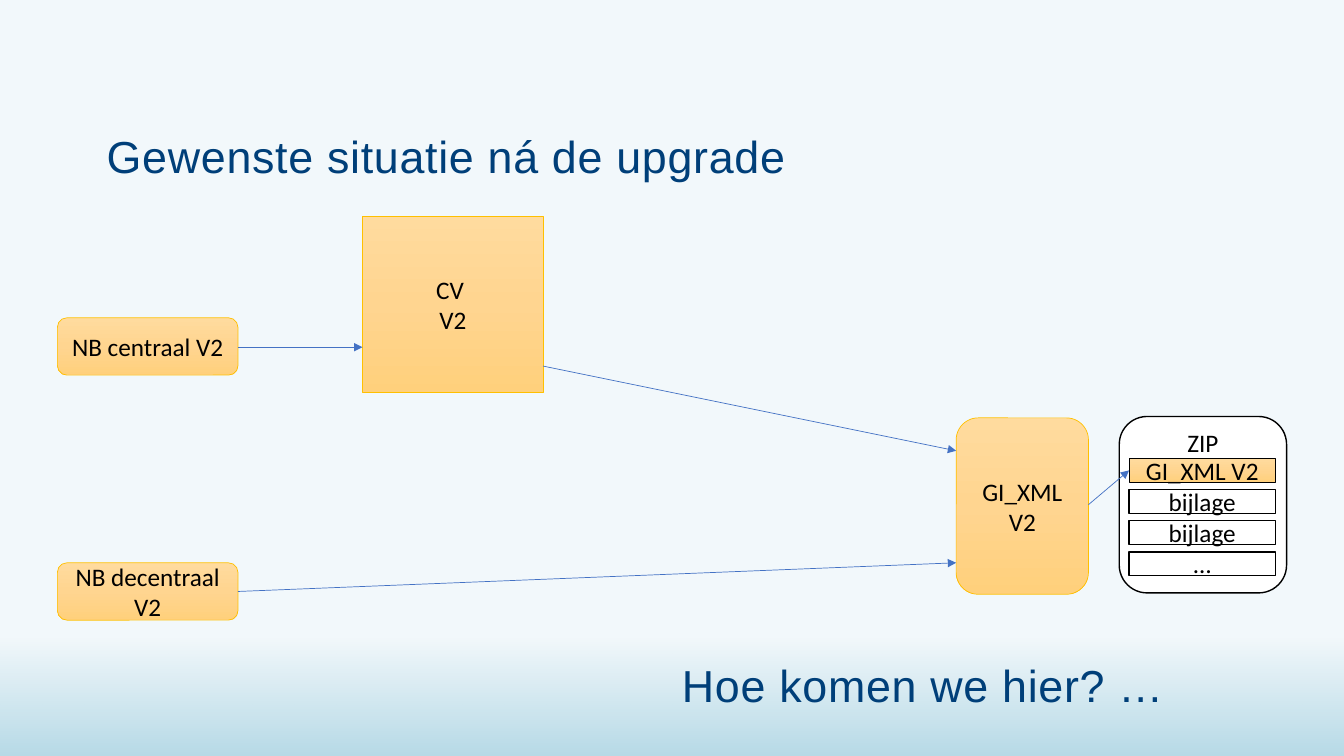
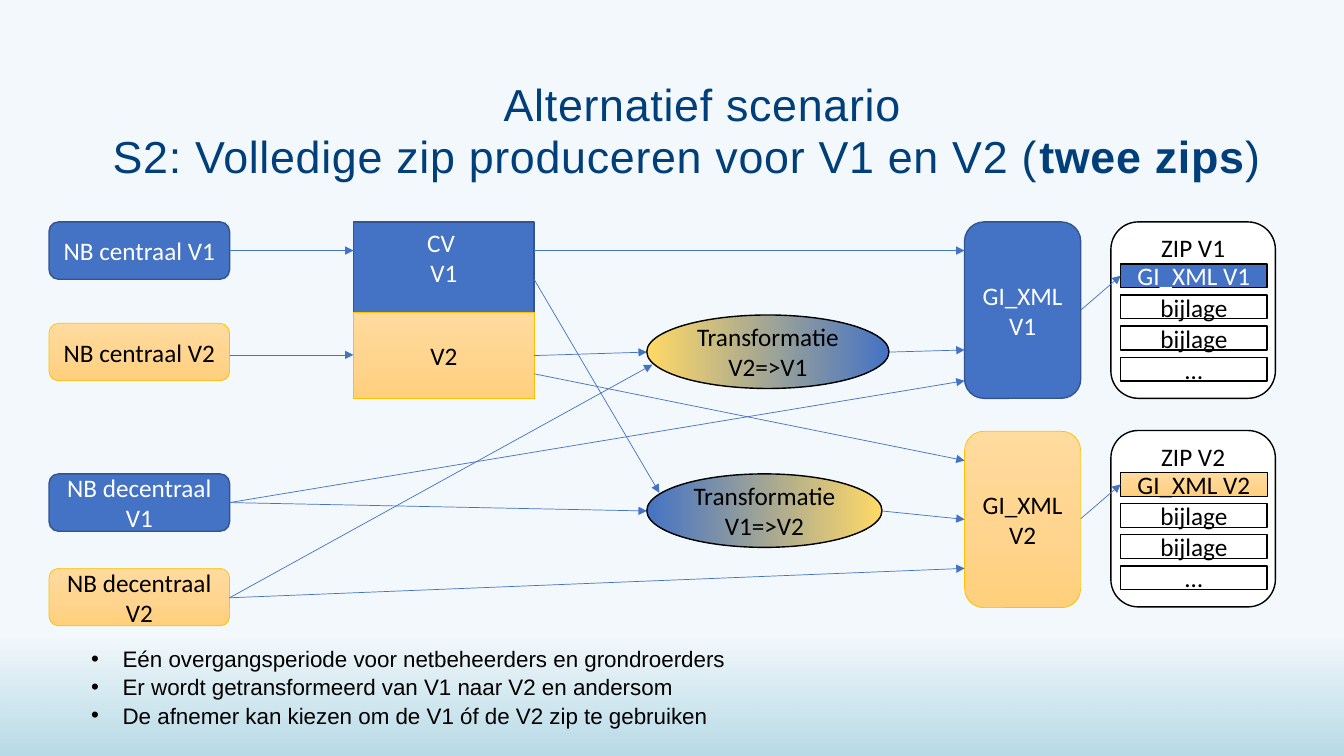
"""Build two slides on the V1 to V2 upgrade scenario."""

from dataclasses import dataclass

from lxml.etree import SubElement
from pptx import Presentation
from pptx.dml.color import RGBColor
from pptx.enum.shapes import MSO_CONNECTOR as Connector, MSO_SHAPE as Preset
from pptx.enum.text import MSO_ANCHOR as Anchor, MSO_AUTO_SIZE as AutoSize, PP_ALIGN as Align
from pptx.oxml.ns import qn
from pptx.util import Pt

PAGE_WIDTH, PAGE_HEIGHT = 960, 540
BACKGROUND, BAND = "F2F8FB", "007EA9"
TITLE_COLOUR, BLACK, WHITE = "003F79", "000000", "FFFFFF"
BLUE, YELLOW = "4472C4", "FFD966"
AMBER = ("FFDB9E", "FFD590", "FFD07C")
TITLE_FONT, BOX_FONT = "Arial", "Calibri"
NODE_WIDTH, NODE_HEIGHT, TALL_HEIGHT = 129, 41, 126
ENTRY_INSET, ENTRY_TOP, ENTRY_PITCH = 7, 30, 22.25
ENTRY_WIDTH, ENTRY_HEIGHT = 104.5, 17


@dataclass(frozen=True)
class Style:
    """Fill colours, outline and text colour of a box."""

    fills: tuple[str, ...]
    line: str
    weight: float
    text: str = BLACK
    angle: int = 270


@dataclass(frozen=True)
class Box:
    """A labelled shape in the diagram."""

    label: str
    left: float
    top: float
    width: float
    height: float
    style: Style
    preset: Preset = Preset.ROUNDED_RECTANGLE
    anchor: Anchor = Anchor.MIDDLE
    margin_top: float = 3.6


@dataclass(frozen=True)
class Arrow:
    """A straight arrow between two points."""

    x1: float
    y1: float
    x2: float
    y2: float


@dataclass(frozen=True)
class Zip:
    """A zip file with its entries."""

    label: str
    left: float
    top: float
    width: float
    first_entry: str
    first_style: Style


V1 = Style((BLUE,), "325491", 1, WHITE)
V2 = Style(AMBER, "FFC000", 0.5)
PLAIN = Style((WHITE,), BLACK, 1)
V1_ENTRY = Style((BLUE,), BLACK, 1, WHITE)
V2_ENTRY = Style(AMBER, BLACK, 0.5)
TO_V1 = Style((YELLOW, BLUE), BLACK, 1, angle=0)
TO_V2 = Style((BLUE, YELLOW), BLACK, 1, angle=0)


def colour(value: str) -> RGBColor:
    """Turn a hex string into a colour."""
    return RGBColor.from_string(value)


def paint(shape, fills: tuple[str, ...], angle: int, alphas: tuple[int, ...] = ()) -> None:
    """Fill a shape with one colour or an even gradient."""
    if len(fills) == 1:
        shape.fill.solid()
        shape.fill.fore_color.rgb = colour(fills[0])
        return
    shape.fill.gradient()
    shape.fill.gradient_angle = angle
    stops = shape.element.spPr.find(qn("a:gradFill")).find(qn("a:gsLst"))
    for stop in list(stops):
        stops.remove(stop)
    for index, value in enumerate(fills):
        position = str(100000 * index // (len(fills) - 1))
        stop = SubElement(stops, qn("a:gs"), pos=position)
        tone = SubElement(stop, qn("a:srgbClr"), val=value)
        if alphas:
            SubElement(tone, qn("a:alpha"), val=str(alphas[index] * 1000))


def place(shape, left: float, top: float, width: float, height: float) -> None:
    """Move and size a shape."""
    shape.left, shape.top = Pt(left), Pt(top)
    shape.width, shape.height = Pt(width), Pt(height)


def format_heading(shape, text: str, align: Align, bold: str = "") -> None:
    """Write a heading, with one part of it in bold if given."""
    frame = shape.text_frame
    frame.word_wrap = True
    frame.auto_size = AutoSize.NONE
    frame.vertical_anchor = Anchor.TOP
    para = frame.paragraphs[0]
    para.alignment = align
    para.line_spacing = 0.95
    before, found, after = text.partition(bold) if bold else (text, "", "")
    for part in filter(None, (before, found, after)):
        span = para.add_run()
        span.text = part
        span.font.name = TITLE_FONT
        span.font.size = Pt(32)
        span.font.bold = part == bold
        span.font.color.rgb = colour(TITLE_COLOUR)
        span.font._element.set("spc", "50")


def add_page(deck, title: str, width: float, align: Align, bold: str = ""):
    """Add a page with its bottom band and title."""
    page = deck.slides.add_slide(deck.slide_layouts[5])
    band = page.shapes.add_shape(Preset.RECTANGLE, 0, Pt(455), Pt(PAGE_WIDTH), Pt(85))
    band.shadow.inherit = False
    band.line.fill.background()
    paint(band, (BAND, BAND), 270, (0, 25))
    place(page.shapes.title, 69, 91, width, 34)
    format_heading(page.shapes.title, title, align, bold)
    return page


def add_heading(page, text: str, left: float, top: float, width: float, align: Align) -> None:
    """Add a free heading in the title style."""
    box = page.shapes.add_textbox(Pt(left), Pt(top), Pt(width), Pt(34))
    format_heading(box, text, align)


def add_box(page, box: Box) -> None:
    """Draw a labelled box."""
    shape = page.shapes.add_shape(
        box.preset, Pt(box.left), Pt(box.top), Pt(box.width), Pt(box.height)
    )
    shape.shadow.inherit = False
    paint(shape, box.style.fills, box.style.angle)
    shape.line.color.rgb = colour(box.style.line)
    shape.line.width = Pt(box.style.weight)
    frame = shape.text_frame
    frame.text = box.label
    frame.word_wrap = True
    frame.vertical_anchor = box.anchor
    frame.margin_top = Pt(box.margin_top)
    for para in frame.paragraphs:
        para.alignment = Align.CENTER
        for span in para.runs:
            span.font.name = BOX_FONT
            span.font.size = Pt(18)
            span.font.color.rgb = colour(box.style.text)


def add_arrow(page, arrow: Arrow) -> None:
    """Draw a thin blue arrow."""
    line = page.shapes.add_connector(
        Connector.STRAIGHT, Pt(arrow.x1), Pt(arrow.y1), Pt(arrow.x2), Pt(arrow.y2)
    )
    line.line.color.rgb = colour(BLUE)
    line.line.width = Pt(0.5)
    properties = line.element.spPr
    SubElement(properties.find(qn("a:ln")), qn("a:tailEnd"), type="triangle")
    SubElement(properties, qn("a:effectLst"))


def add_zip(page, archive: Zip, source_right: float) -> None:
    """Draw a zip file, its entries and the arrow into the first entry."""
    add_box(page, Box(archive.label, archive.left, archive.top, archive.width, TALL_HEIGHT,
                      PLAIN, anchor=Anchor.TOP, margin_top=2))
    left, top = archive.left + ENTRY_INSET, archive.top + ENTRY_TOP
    for index, label in enumerate((archive.first_entry, "bijlage", "bijlage", "…")):
        style = PLAIN if index else archive.first_style
        add_box(page, Box(label, left, top + index * ENTRY_PITCH, ENTRY_WIDTH, ENTRY_HEIGHT,
                          style, Preset.RECTANGLE))
    add_arrow(page, Arrow(source_right, archive.top + TALL_HEIGHT / 2,
                          left, top + ENTRY_HEIGHT / 2))


def add_bullets(page, lines: tuple[str, ...]) -> None:
    """Add the bulleted remarks at the bottom."""
    box = page.shapes.add_textbox(Pt(58), Pt(456.5), Pt(483), Pt(65.5))
    frame = box.text_frame
    frame.text = "\n".join(lines)
    frame.word_wrap = True
    for para in frame.paragraphs:
        properties = para._p.get_or_add_pPr()
        properties.set("marL", str(Pt(22.5)))
        properties.set("indent", str(-Pt(22.5)))
        para.line_spacing = 1.05
        SubElement(properties, qn("a:buFont"), typeface=TITLE_FONT)
        SubElement(properties, qn("a:buChar"), char="•")
        for span in para.runs:
            span.font.name = TITLE_FONT
            span.font.size = Pt(16)
            span.font.color.rgb = colour(BLACK)


def add_diagram(page, boxes: tuple[Box, ...], arrows: tuple[Arrow, ...]) -> None:
    """Draw all boxes and then all arrows."""
    for box in boxes:
        add_box(page, box)
    for arrow in arrows:
        add_arrow(page, arrow)


def node(label: str, left: float, top: float, style: Style) -> Box:
    """Describe a network operator box."""
    return Box(label, left, top, NODE_WIDTH, NODE_HEIGHT, style)


def build_target_page(deck) -> None:
    """Build the page with the situation after the upgrade."""
    page = add_page(deck, "Gewenste situatie ná de upgrade", 822, Align.LEFT)
    boxes = (
        Box("CV \nV2", 259, 154.5, NODE_WIDTH, TALL_HEIGHT, V2, Preset.RECTANGLE),
        node("NB centraal V2", 41, 227, V2),
        node("NB decentraal V2", 41, 402, V2),
        Box("GI_XML V2", 683, 298.5, 94.5, TALL_HEIGHT, V2),
    )
    arrows = (
        Arrow(170, 248, 259, 248),
        Arrow(388, 261.5, 683, 322),
        Arrow(170, 422.5, 683, 402),
    )
    add_diagram(page, boxes, arrows)
    add_zip(page, Zip("ZIP", 799.5, 297.5, 119.5, "GI_XML V2", V2_ENTRY), 777.5)
    add_heading(page, "Hoe komen we hier? …", 480, 469, 431, Align.LEFT)


def build_scenario_page(deck) -> None:
    """Build the page with the scenario of two zips."""
    title = "S2: Volledige zip produceren voor V1 en V2 (twee zips)"
    page = add_page(deck, title, 842.5, Align.CENTER, "twee zips")
    add_heading(page, "Alternatief scenario", 80.5, 54, 842.5, Align.CENTER)
    boxes = (
        node("NB centraal V1", 35, 158.5, V1),
        node("NB centraal V2", 35, 231, V2),
        node("NB decentraal V1", 35, 338.5, V1),
        node("NB decentraal V2", 35, 406, V2),
        Box("CV \nV1", 252.5, 158.5, NODE_WIDTH, TALL_HEIGHT, V1, Preset.RECTANGLE, Anchor.TOP),
        Box("V2", 252.5, 223, NODE_WIDTH, 61.5, V2, Preset.RECTANGLE),
        Box("Transformatie V2=>V1", 462, 225, 173, 52.5, TO_V1, Preset.OVAL),
        Box("Transformatie V1=>V2", 462, 338.5, 168, 52.5, TO_V2, Preset.OVAL),
        Box("GI_XML V1", 689, 158.5, 83, TALL_HEIGHT, V1),
        Box("GI_XML V2", 689, 308, 83, TALL_HEIGHT, V2),
    )
    arrows = (
        Arrow(164, 179, 252.5, 179),
        Arrow(164, 253.5, 252.5, 253.5),
        Arrow(381.5, 179, 689, 179),
        Arrow(381.5, 199.5, 471, 352),
        Arrow(381.5, 254, 462, 251.5),
        Arrow(381.5, 267, 689, 329),
        Arrow(164, 359, 689, 272),
        Arrow(164, 359, 462, 365),
        Arrow(164, 427, 466, 260.5),
        Arrow(164, 427, 689, 406),
        Arrow(635, 251.5, 689, 250),
        Arrow(630, 365, 689, 371),
    )
    add_diagram(page, boxes, arrows)
    add_zip(page, Zip("ZIP V1", 793.5, 158.5, 117.5, "GI_XML V1", V1_ENTRY), 772)
    add_zip(page, Zip("ZIP V2", 793.5, 307.5, 117.5, "GI_XML V2", V2_ENTRY), 772)
    add_bullets(page, (
        "Eén overgangsperiode voor netbeheerders en grondroerders",
        "Er wordt getransformeerd van V1 naar V2 en andersom",
        "De afnemer kan kiezen om de V1 óf de V2 zip te gebruiken",
    ))


def main() -> None:
    """Build and save the deck."""
    deck = Presentation()
    deck.slide_width, deck.slide_height = Pt(PAGE_WIDTH), Pt(PAGE_HEIGHT)
    backdrop = deck.slide_master.background.fill
    backdrop.solid()
    backdrop.fore_color.rgb = colour(BACKGROUND)
    build_target_page(deck)
    build_scenario_page(deck)
    deck.save("out.pptx")


if __name__ == "__main__":
    main()
